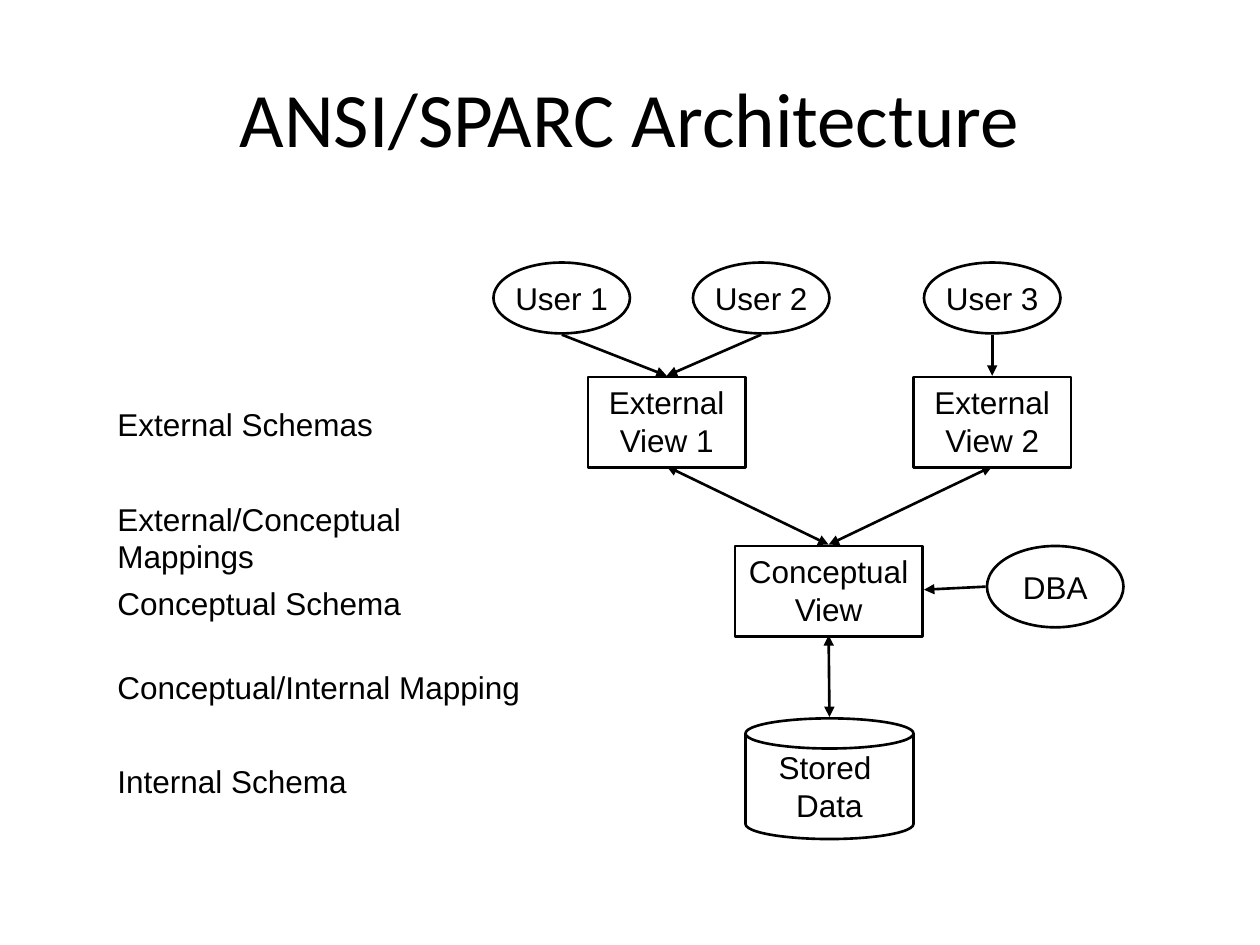
from lxml import etree
from pptx import Presentation
from pptx.dml.color import RGBColor
from pptx.enum.shapes import MSO_CONNECTOR, MSO_SHAPE
from pptx.enum.text import MSO_ANCHOR, PP_ALIGN
from pptx.oxml.ns import qn
from pptx.util import Pt

BLACK = RGBColor(0, 0, 0)
LINE_WIDTH = Pt(1.5)
LABEL_LEFT = 60

# left, top, width, height, lines of text
USERS = [(left, 150, 78, 40.5, [f"User {number}"])
         for number, left in enumerate((282, 396, 528), 1)]
DBA = (564, 312, 78, 46.5, ["DBA"])
VIEWS = [
    (336, 215.5, 90, 51.75, ["External", "View 1"]),
    (522, 215.5, 90, 51.75, ["External", "View 2"]),
    (420, 312, 107, 51.75, ["Conceptual", "View"]),
]
STORED_DATA = (426, 410.5, 96, 69, ["Stored ", "Data"])
# start x, start y, end x, end y
ONE_WAY_ARROWS = [
    (321, 191.25, 381, 214.75),
    (435, 191.25, 381, 214.75),
    (567, 191.25, 567, 214.75),
    (563.25, 335.25, 528, 337),
]
TWO_WAY_ARROWS = [
    (381, 266.5, 473.5, 311.25),
    (567, 266.5, 473.5, 311.25),
    (474, 409.75, 473.5, 363),
]
# top, width, text
LABELS = [
    (228, 160.5, "External Schemas"),
    (282, 259, "External/Conceptual Mappings"),
    (330, 176.5, "Conceptual Schema"),
    (378, 245.5, "Conceptual/Internal Mapping"),
    (432, 145.5, "Internal Schema"),
]


def write_lines(shape, lines, size=18, font="Arial", align=PP_ALIGN.CENTER,
                anchor=MSO_ANCHOR.MIDDLE, wrap=False):
    frame = shape.text_frame
    frame.word_wrap = wrap
    frame.vertical_anchor = anchor
    frame.text = "\n".join(lines)
    for paragraph in frame.paragraphs:
        paragraph.alignment = align
        paragraph.font.size = Pt(size)
        paragraph.font.name = font
        paragraph.font.color.rgb = BLACK


def add_text(slide, left, top, width, height, text, **style):
    box = slide.shapes.add_textbox(Pt(left), Pt(top), Pt(width), Pt(height))
    write_lines(box, [text], **style)


def add_node(slide, kind, node, **style):
    """Add an unfilled, outlined shape with its caption."""
    left, top, width, height, lines = node
    shape = slide.shapes.add_shape(kind, Pt(left), Pt(top), Pt(width), Pt(height))
    shape.shadow.inherit = False
    shape.fill.background()
    shape.line.color.rgb = BLACK
    shape.line.width = LINE_WIDTH
    write_lines(shape, lines, **style)
    return shape


def add_arrow(slide, ends, two_way=False):
    connector = slide.shapes.add_connector(
        MSO_CONNECTOR.STRAIGHT, *(Pt(value) for value in ends))
    connector.line.color.rgb = BLACK
    connector.line.width = LINE_WIDTH
    outline = connector.line._get_or_add_ln()
    for tag in ("a:headEnd", "a:tailEnd") if two_way else ("a:tailEnd",):
        etree.SubElement(outline, qn(tag), type="triangle")
    etree.SubElement(connector._element.spPr, qn("a:effectLst"))


def main():
    presentation = Presentation()
    presentation.slide_width = Pt(720)
    presentation.slide_height = Pt(540)
    slide = presentation.slides.add_slide(presentation.slide_layouts[6])

    add_text(slide, 36, 21.6, 648, 90, "ANSI/SPARC Architecture",
             size=44, font="Calibri", wrap=True)
    can = add_node(slide, MSO_SHAPE.CAN, STORED_DATA)
    can.adjustments[0] = 0.25
    for view in VIEWS:
        add_node(slide, MSO_SHAPE.RECTANGLE, view, anchor=MSO_ANCHOR.TOP, wrap=True)
    for person in [*USERS, DBA]:
        add_node(slide, MSO_SHAPE.OVAL, person)
    for ends in ONE_WAY_ARROWS:
        add_arrow(slide, ends)
    for ends in TWO_WAY_ARROWS:
        add_arrow(slide, ends, two_way=True)
    for top, width, text in LABELS:
        add_text(slide, LABEL_LEFT, top, width, 29, text,
                 align=PP_ALIGN.LEFT, anchor=MSO_ANCHOR.TOP)

    presentation.save("out.pptx")


if __name__ == "__main__":
    main()
